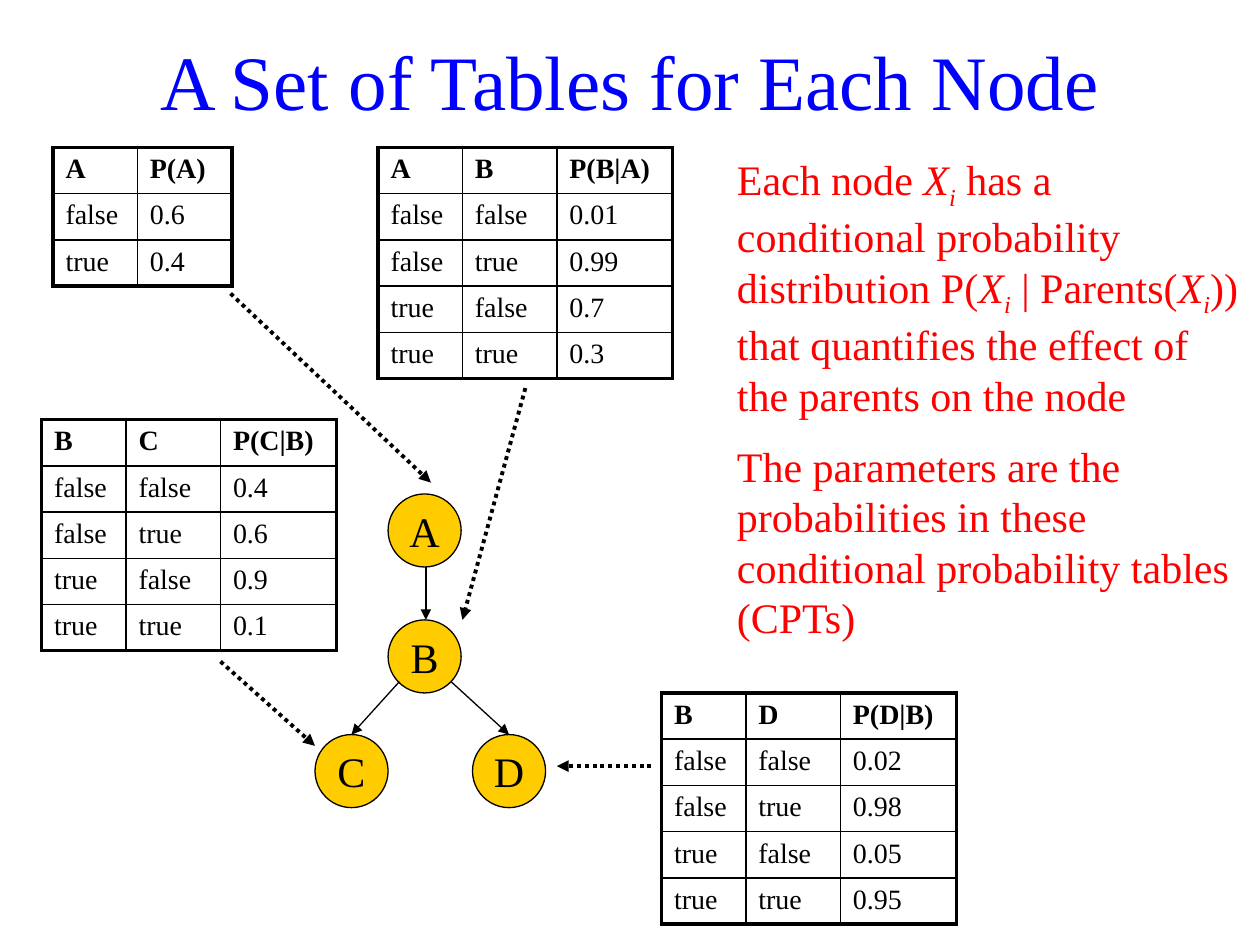
"""Build a slide on the conditional probability tables of a Bayesian network."""
from itertools import product

from lxml import etree
from pptx import Presentation
from pptx.dml.color import RGBColor
from pptx.enum.dml import MSO_LINE
from pptx.enum.shapes import MSO_CONNECTOR, MSO_SHAPE
from pptx.enum.text import MSO_ANCHOR, PP_ALIGN
from pptx.oxml import parse_xml
from pptx.oxml.ns import nsdecls, qn
from pptx.util import Inches, Pt

CENTER = PP_ALIGN.CENTER
MIDDLE = MSO_ANCHOR.MIDDLE
OVAL = MSO_SHAPE.OVAL
STRAIGHT = MSO_CONNECTOR.STRAIGHT
DOTS = MSO_LINE.ROUND_DOT
BLACK, RED, BLUE, GOLD = "000000", "FF0000", "0000FF", "FFCC00"


def tone(color, code):
    color.rgb = RGBColor.from_string(code)


def write(para, text, size=24, code=BLACK, bold=False, italic=False, base=0, align=None):
    run = para.add_run()
    run.text = text
    font = run.font
    font.name, font.size = "Times New Roman", Pt(size)
    font.bold, font.italic = bold, italic
    tone(font.color, code)
    if base:
        run._r.get_or_add_rPr().set("baseline", str(base * 1000))
    if align is not None:
        para.alignment = align


deck = Presentation()
deck.slide_width, deck.slide_height = Inches(10), Inches(7.5)
slide = deck.slides.add_slide(deck.slide_layouts[5])
shapes = slide.shapes

title = shapes.title
title.left, title.top = Inches(0.75), Inches(0.17)
title.width, title.height = Inches(8.5), Inches(0.92)
title.text_frame.vertical_anchor = MIDDLE
write(title.text_frame.paragraphs[0], "A Set of Tables for Each Node",
      size=44, code=BLUE, align=CENTER)

notes = [
    "Each node Xi has a conditional probability distribution P(Xi | Parents(Xi)) "
    "that quantifies the effect of the parents on the node",
    "The parameters are the probabilities in these conditional probability tables (CPTs)",
]
frame = shapes.add_textbox(Inches(5.75), Inches(1.17), Inches(4.25), Inches(3.89)).text_frame
frame.word_wrap = True
for row, note in enumerate(notes):
    para = frame.add_paragraph() if row else frame.paragraphs[0]
    if row:
        para.space_before = Pt(12)
    for nth, part in enumerate(note.split("Xi")):
        if nth:
            write(para, "X", code=RED, italic=True)
            write(para, "i", code=RED, italic=True, base=-25)
        write(para, part, code=RED)

tables = [
    (0.42, 1.17, ["A", "P(A)"], ["0.6", "0.4"]),
    (3, 1.17, ["A", "B", "P(B|A)"], ["0.01", "0.99", "0.7", "0.3"]),
    (0.33, 3.33, ["B", "C", "P(C|B)"], ["0.4", "0.6", "0.9", "0.1"]),
    (5.25, 5.5, ["B", "D", "P(D|B)"], ["0.02", "0.98", "0.05", "0.95"]),
]
widths = [0.67, 0.75, 0.92]
for left, top, heads, odds in tables:
    cases = product(["false", "true"], repeat=len(heads) - 1)
    rows = [heads] + [[*case, odd] for case, odd in zip(cases, odds)]
    high, wide = len(rows), len(heads)
    grid = shapes.add_table(high, wide, Inches(left), Inches(top),
                            Inches(sum(widths[:wide])), Inches(1.1 * high / 3)).table
    grid.first_row = grid.horz_banding = False
    for col, width in zip(grid.columns, widths):
        col.width = Inches(width)
    for r, c in product(range(high), range(wide)):
        cell = grid.cell(r, c)
        write(cell.text_frame.paragraphs[0], rows[r][c], size=16, bold=r == 0)
        props = cell._tc.get_or_add_tcPr()
        edges = {"L": c == 0, "R": c == wide - 1, "T": r == 0, "B": r == high - 1}
        for side, outer in edges.items():
            weight = Pt(2.25 if outer else 1)
            props.append(parse_xml(
                f'<a:ln{side} {nsdecls("a")} w="{weight}"><a:solidFill>'
                f'<a:srgbClr val="{BLACK}"/></a:solidFill></a:ln{side}>'))
        cell.fill.background()

nodes = [("A", 3.08, 3.92), ("B", 3.08, 4.92), ("C", 2.5, 5.83), ("D", 3.75, 5.83)]
for name, left, top in nodes:
    node = shapes.add_shape(OVAL, Inches(left), Inches(top), Inches(0.58), Inches(0.58))
    node.shadow.inherit = False
    node.fill.solid()
    tone(node.fill.fore_color, GOLD)
    tone(node.line.color, BLACK)
    node.line.width = Pt(0.75)
    node.text_frame.word_wrap = False
    node.text_frame.vertical_anchor = MIDDLE
    write(node.text_frame.paragraphs[0], name, align=CENTER)

arrows = [
    (3.38, 4.5, 3.38, 4.92, False),
    (3.17, 5.41, 2.79, 5.83, False),
    (3.58, 5.41, 4.04, 5.83, False),
    (1.83, 2.33, 3.42, 3.83, True),
    (4.17, 3.08, 3.67, 4.92, True),
    (5.17, 6.08, 4.42, 6.08, True),
    (1.75, 5.25, 2.5, 5.92, True),
]
for *ends, dotted in arrows:
    arrow = shapes.add_connector(STRAIGHT, *map(Inches, ends))
    tone(arrow.line.color, BLACK)
    arrow.line.width = Pt(2.25 if dotted else 0.75)
    if dotted:
        arrow.line.dash_style = DOTS
    etree.SubElement(arrow.line._get_or_add_ln(), qn("a:tailEnd"), type="triangle")
    etree.SubElement(arrow._element.spPr, qn("a:effectLst"))

deck.save("out.pptx")
